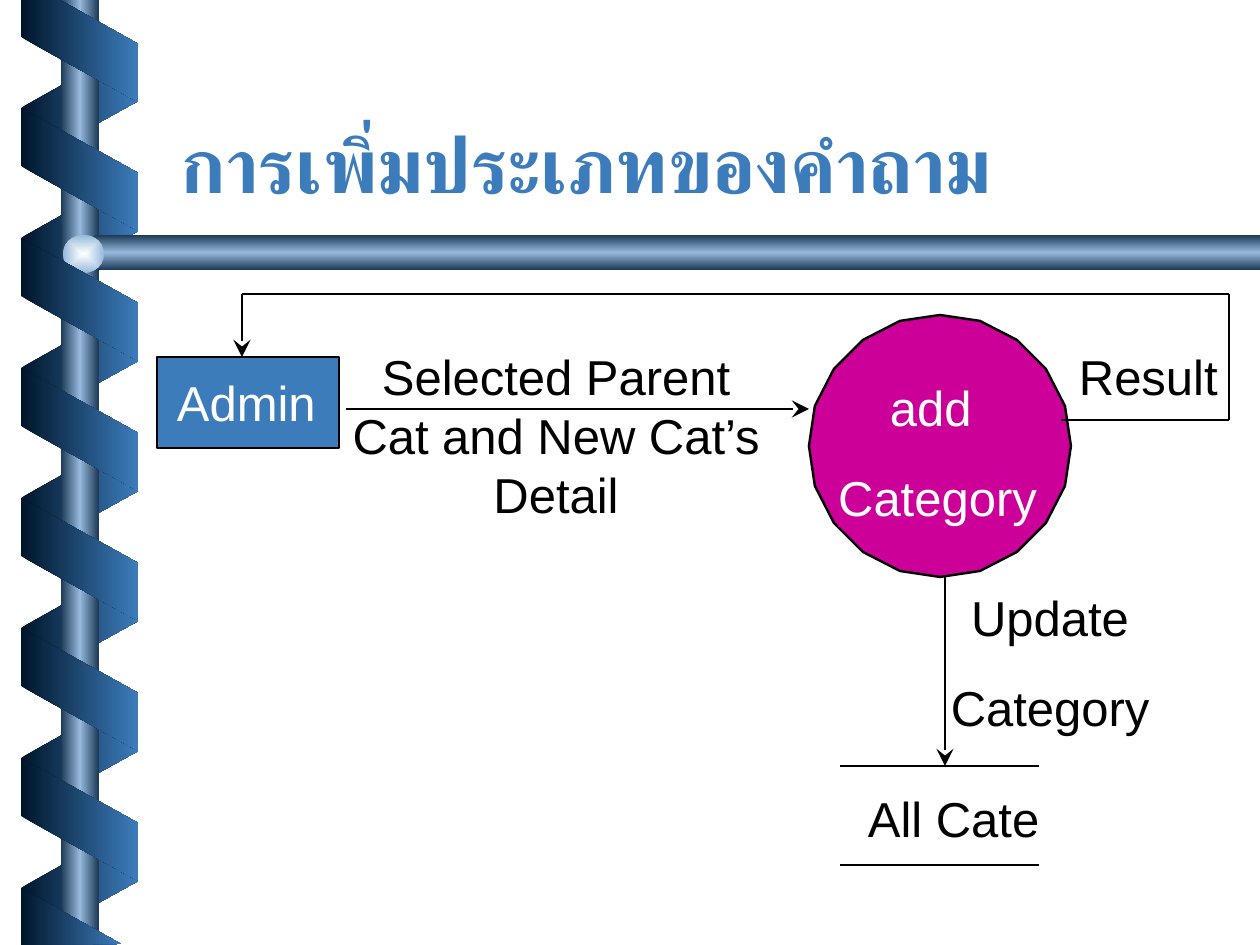
import math

import pptx
import pptx.dml.color
import pptx.enum.shapes
import pptx.enum.text
import pptx.oxml
import pptx.oxml.ns
import pptx.util

EMU_PER_PX = 914400 / 126
WIDTH, HEIGHT = 1260, 945
COLORS = {
    "black": "000000", "white": "FFFFFF", "blue": "3D7CBB", "magenta": "CC0099",
    "navy": "00152A", "steel": "1C3956", "sky": "96B9DC", "glow": "FEFFFF",
}
BAND_STOPS = ("navy", "blue")
TUBE_STOPS = ("steel", "sky", "steel")
SHAPES = pptx.enum.shapes.MSO_SHAPE
ALIGN = pptx.enum.text.PP_ALIGN
AUTO_SIZE = pptx.enum.text.MSO_AUTO_SIZE


def px(value):
    return pptx.util.Emu(round(value * EMU_PER_PX))


def color(name):
    return pptx.dml.color.RGBColor.from_string(COLORS[name])


def append_xml(parent, tag, attributes=""):
    namespace = pptx.oxml.ns.nsdecls("a")
    parent.append(pptx.oxml.parse_xml(f"<a:{tag} {namespace} {attributes}/>"))


def style(shape, fill=None, line=None, line_width=1.5):
    shape.shadow.inherit = False
    if fill:
        shape.fill.solid()
        shape.fill.fore_color.rgb = color(fill)
    if line:
        shape.line.color.rgb = color(line)
        shape.line.width = pptx.util.Pt(line_width)
    else:
        shape.line.fill.background()


def fill_gradient(shape, stops, angle=None):
    """Linear gradient at an angle in degrees, or from the centre if none is given."""
    style(shape)
    step = 100000 // (len(stops) - 1)
    stop_xml = "".join(
        f'<a:gs pos="{index * step}"><a:srgbClr val="{COLORS[name]}"/></a:gs>'
        for index, name in enumerate(stops))
    if angle is None:
        direction = ('<a:path path="rect"><a:fillToRect l="50000" t="50000" '
                     'r="50000" b="50000"/></a:path>')
    else:
        direction = f'<a:lin ang="{angle * 60000}" scaled="0"/>'
    gradient = pptx.oxml.parse_xml(
        f'<a:gradFill {pptx.oxml.ns.nsdecls("a")} rotWithShape="0">'
        f"<a:gsLst>{stop_xml}</a:gsLst>{direction}</a:gradFill>")
    shape.fill.background()
    properties = shape._element.spPr
    properties.replace(properties.find(pptx.oxml.ns.qn("a:noFill")), gradient)


def add_preset(slide, preset, left, top, width, height):
    return slide.shapes.add_shape(preset, px(left), px(top), px(width), px(height))


def add_polygon(slide, points):
    builder = slide.shapes.build_freeform(*points[0], scale=EMU_PER_PX)
    builder.add_line_segments(points[1:], close=True)
    return builder.convert_to_shape()


def add_band(slide, left_top, right_top):
    left, right, side = 21, 138, 58
    band = add_polygon(slide, [(left, left_top), (right, right_top),
                               (right, right_top + side), (left, left_top + side)])
    fill_gradient(band, BAND_STOPS, 0)


def add_line(slide, start, end, arrow=False, width=1.5):
    line = slide.shapes.add_connector(
        pptx.enum.shapes.MSO_CONNECTOR.STRAIGHT, *map(px, start + end))
    line.line.color.rgb = color("black")
    line.line.width = pptx.util.Pt(width)
    if arrow:
        append_xml(line.line._get_or_add_ln(), "tailEnd",
                   'type="stealth" w="lg" len="lg"')
    append_xml(line._element.spPr, "effectLst")


def add_label(slide, box, lines, text_color="black", fill=None,
              align=ALIGN.LEFT, wrap=False):
    left, top, width, height = map(px, box)
    label = slide.shapes.add_textbox(left, top, width, height)
    if fill:
        label.fill.solid()
        label.fill.fore_color.rgb = color(fill)
    frame = label.text_frame
    frame.word_wrap = wrap
    frame.auto_size = AUTO_SIZE.SHAPE_TO_FIT_TEXT
    frame.margin_left = frame.margin_right = 0
    frame.margin_top = frame.margin_bottom = 0
    frame.text = "\n".join(lines)
    for index, paragraph in enumerate(frame.paragraphs):
        paragraph.alignment = align
        if index:
            paragraph.space_before = pptx.util.Pt(17.5)
        paragraph.font.name = "Arial"
        paragraph.font.size = pptx.util.Pt(28)
        paragraph.font.color.rgb = color(text_color)


def set_title(slide, text):
    title = slide.shapes.title
    title.left, title.top, title.width, title.height = map(px, (168, 58, 1071, 157))
    frame = title.text_frame
    frame.auto_size = AUTO_SIZE.NONE
    frame.vertical_anchor = pptx.enum.text.MSO_ANCHOR.BOTTOM
    paragraph = frame.paragraphs[0]
    paragraph.alignment = ALIGN.LEFT
    run = paragraph.add_run()
    run.text = text
    run.font.name = "Roboto"
    run.font.size = pptx.util.Pt(44)
    run.font.bold = True
    run.font.color.rgb = color("blue")
    # Thai letters take the complex-script font
    append_xml(run.font._element, "cs", 'typeface="Roboto"')


def draw_spiral_frame(slide):
    pitch, slant = 130, 65
    # Bands behind the pole
    for index in range(7):
        top = 43 + index * pitch
        add_band(slide, top + slant, top)
    # Pole, beam and ball
    pole = add_preset(slide, SHAPES.RECTANGLE, 61, 0, 38, HEIGHT)
    fill_gradient(pole, TUBE_STOPS, 0)
    beam = add_polygon(slide, [(WIDTH, 235), (96, 235), (76, 252),
                               (96, 270), (WIDTH, 270)])
    fill_gradient(beam, TUBE_STOPS, 90)
    ball = add_preset(slide, SHAPES.OVAL, 63, 235, 41, 38)
    fill_gradient(ball, ("glow", "sky"))
    # Bands in front of the pole, cut off at both slide edges
    for index in range(6):
        top = 108 + index * pitch
        add_band(slide, top, top + slant)
    for points in ([(21, 0), (21, 37), (138, 102), (138, 44), (60, 0)],
                   [(121, 944), (21, 888), (21, 945)]):
        fill_gradient(add_polygon(slide, points), BAND_STOPS, 0)


def draw_process(slide):
    # Twenty-sided process circle
    center_x, center_y, radius, sides = 940, 446, 131, 20
    angles = [2 * math.pi * index / sides for index in range(sides)]
    circle = add_polygon(slide, [(round(center_x + radius * math.cos(angle)),
                                  round(center_y + radius * math.sin(angle)))
                                 for angle in angles])
    style(circle, "magenta", "black", 1.39)
    add_label(slide, (838, 378, 199, 149), ["add ", "Category"],
              "white", "magenta", ALIGN.CENTER)


def draw_data_store(slide):
    for y in (766, 865):
        add_line(slide, (840, y), (1039, y), width=1.62)
    add_label(slide, (868, 788, 174, 59), ["All Cate"])


def draw_admin(slide):
    box = add_preset(slide, SHAPES.RECTANGLE, 157, 357, 182, 91)
    style(box, "blue", "black")
    add_label(slide, (177, 372, 139, 59), ["Admin"], "white", "blue")


def draw_flows(slide):
    # Admin to process
    add_line(slide, (346, 409), (809, 409), arrow=True)
    add_label(slide, (346, 347, 420, 176), ["Selected Parent Cat and New Cat’s Detail"],
              align=ALIGN.CENTER, wrap=True)
    # Process to data store
    add_label(slide, (945, 588, 210, 149), ["Update", "Category"],
              align=ALIGN.CENTER, wrap=True)
    add_line(slide, (945, 577), (945, 766), arrow=True)
    # Result back to admin
    route = [(1061, 420), (1229, 420), (1229, 294), (242, 294), (242, 357)]
    for start, end in zip(route, route[1:]):
        add_line(slide, start, end, arrow=end == route[-1])
    add_label(slide, (1079, 346, 139, 59), ["Result"])


def main():
    presentation = pptx.Presentation()
    presentation.slide_width, presentation.slide_height = px(WIDTH), px(HEIGHT)
    slide = presentation.slides.add_slide(presentation.slide_layouts[5])
    draw_spiral_frame(slide)
    set_title(slide, "การเพิ่มประเภทของคำถาม")
    draw_process(slide)
    draw_data_store(slide)
    draw_admin(slide)
    draw_flows(slide)
    presentation.save("out.pptx")


if __name__ == "__main__":
    main()
